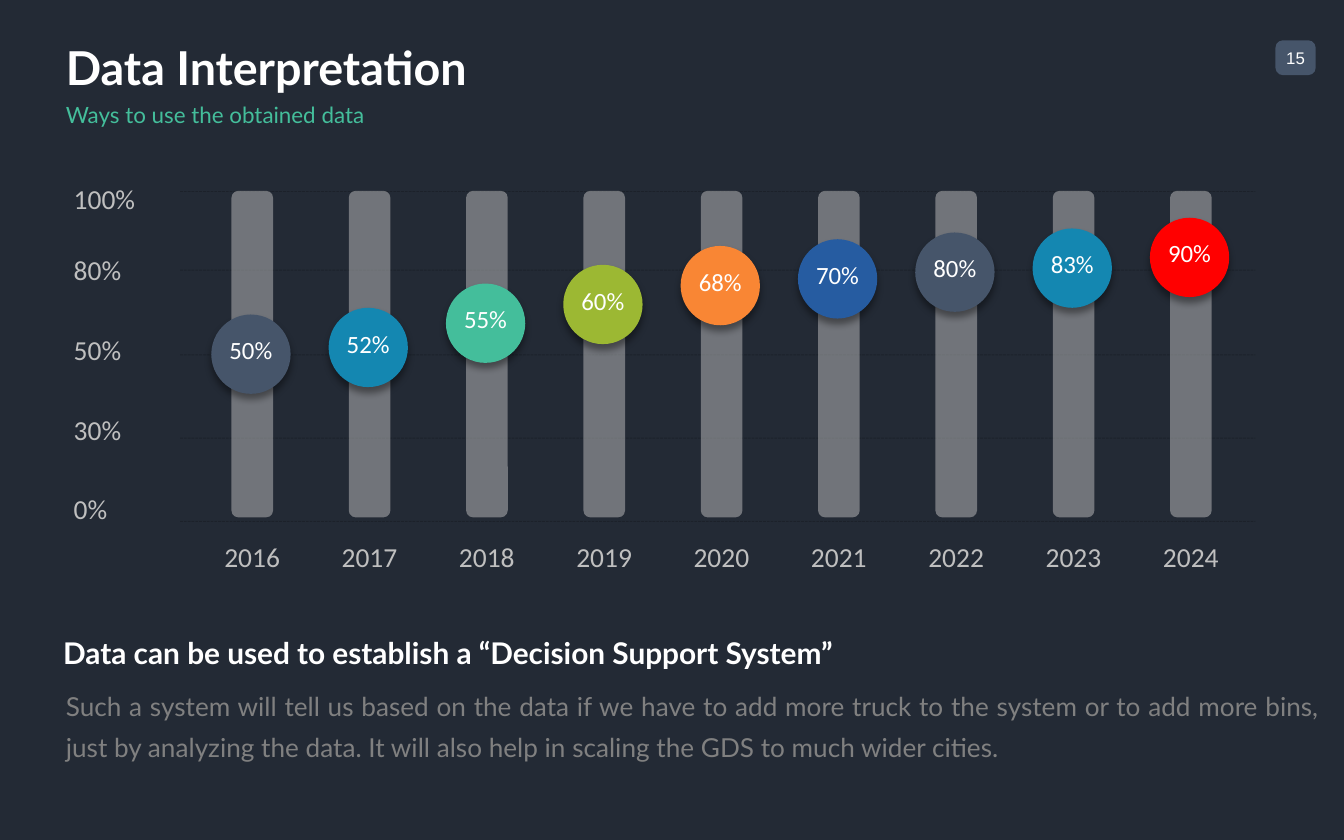
"""Build the data interpretation slide: yearly shares as badges on upright tracks."""
import pptx
import pptx.util
import pptx.dml.color
import pptx.enum.dml
import pptx.enum.shapes
import pptx.enum.text
import pptx.oxml
import pptx.oxml.ns

TITLE = "Data Interpretation"
SUB = "Ways to use the obtained data"
HEAD = "Data can be used to establish a “Decision Support System”"
BODY = (
    "Such a system will tell us based on the data if we have to add more truck "
    "to the system or to add more bins, just by analyzing the data. It will also "
    "help in scaling the GDS to much wider cities."
)
PAGE = "15"
MARKS = [
    ("100%", 21.12, 22.8),
    ("80%", 29.6, 32.16),
    ("50%", 39.2, 42.24),
    ("30%", 48.64, 52.16),
    ("0%", 58.08, 62.08),
]
YEARS = [
    ("2016", "50%", 37.44, "slate"),
    ("2017", "52%", 36.64, "blue"),
    ("2018", "55%", 33.76, "green"),
    ("2019", "60%", 31.52, "lime"),
    ("2020", "68%", 29.28, "orange"),
    ("2021", "70%", 28.48, "navy"),
    ("2022", "80%", 27.68, "slate"),
    ("2023", "83%", 27.2, "blue"),
    ("2024", "90%", 25.92, "red"),
]
THEME = {
    "color": {
        "back": "232A35", "white": "FFFFFF", "black": "000000", "pale": "BFBFBF",
        "gray": "808080", "slate": "46556A", "blue": "1487B1", "green": "44BE9B",
        "lime": "9CB833", "orange": "F98634", "navy": "265CA1", "red": "FF0000",
    },
    "size": {"title": 25, "sub": 12, "head": 16, "body": 14, "axis": 14.7,
             "badge": 13.3, "page": 9},
    "font": {"text": "Lato", "chart": "Calibri", "page": "Arial"},
}
WIDE, HIGH = 10, 6.25
FIRST, STEP = 18.77, 8.73
TRACK = (3.1, 22.72, 38.88)
BADGE = (5.9, 9.44)
LINES = (13.4, 93.4)

Inches = pptx.util.Inches
Align = pptx.enum.text.PP_ALIGN
Anchor = pptx.enum.text.MSO_ANCHOR
Kind = pptx.enum.shapes.MSO_SHAPE
NS = pptx.oxml.ns.nsdecls("a")


def place(x, y, w, h):
    """Turn percent shares of the slide into lengths."""
    return [Inches(share * side / 100)
            for share, side in zip((x, y, w, h), (WIDE, HIGH, WIDE, HIGH))]


def tint(name):
    """Return a theme colour."""
    return pptx.dml.color.RGBColor.from_string(THEME["color"][name])


def fade(fill, share):
    """Give a solid fill element an alpha in percent."""
    fill[0].append(pptx.oxml.parse_xml(f'<a:alpha {NS} val="{share * 1000}"/>'))


def write(shape, text, size, font, color, bold=False, align=Align.LEFT,
          anchor=Anchor.TOP, inset=(0.1, 0.05), wrap=True, gap=None):
    """Put one run of text in a shape."""
    frame = shape.text_frame
    frame.word_wrap = wrap
    frame.vertical_anchor = anchor
    frame.margin_left = frame.margin_right = Inches(inset[0])
    frame.margin_top = frame.margin_bottom = Inches(inset[1])
    para = frame.paragraphs[0]
    para.alignment = align
    para.line_spacing = gap
    run = para.add_run()
    run.text = text
    run.font.size = pptx.util.Pt(THEME["size"][size])
    run.font.name = THEME["font"][font]
    run.font.color.rgb = tint(color)
    run.font.bold = bold


def label(slide, area, *args, **style):
    """Add a text box."""
    write(slide.shapes.add_textbox(*place(*area)), *args, **style)


def block(slide, area, color, curve):
    """Add a rounded block without outline or shadow."""
    shape = slide.shapes.add_shape(Kind.ROUNDED_RECTANGLE, *place(*area))
    shape.adjustments[0] = curve
    shape.shadow.inherit = False
    shape.fill.solid()
    shape.fill.fore_color.rgb = tint(color)
    shape.line.fill.background()
    return shape


def shade(shape):
    """Drop a soft shadow below a shape."""
    cast = pptx.oxml.parse_xml(
        f'<a:outerShdw {NS} blurRad="50800" dist="38100" dir="5400000" '
        f'algn="t" rotWithShape="0"><a:srgbClr val="{THEME["color"]["black"]}">'
        '<a:alpha val="40000"/></a:srgbClr></a:outerShdw>')
    shape._element.spPr.find(pptx.oxml.ns.qn("a:effectLst")).append(cast)


def rule(slide, top):
    """Add one dashed grid line."""
    x, y, end, _ = place(LINES[0], top, LINES[1], 0)
    line = slide.shapes.add_connector(
        pptx.enum.shapes.MSO_CONNECTOR.STRAIGHT, x, y, end, y)
    line.line.width = pptx.util.Pt(0.5)
    line.line.color.rgb = tint("black")
    line.line.dash_style = pptx.enum.dml.MSO_LINE.SQUARE_DOT
    props = line._element.spPr
    fade(props.find(".//" + pptx.oxml.ns.qn("a:solidFill")), 20)
    props.append(pptx.oxml.parse_xml(f"<a:effectLst {NS}/>"))


def chart(slide):
    """Draw grid, axis labels, tracks and badges."""
    for mark, top, level in MARKS:
        rule(slide, level)
        label(slide, (4.5, top, 7.6, 5.44), mark, "axis", "chart", "pale", gap=0.95)
    wide, top, high = TRACK
    for col, (year, share, rise, color) in enumerate(YEARS):
        mid = FIRST + col * STEP
        label(slide, (mid - 3, 63.84, 6, 4.8), year, "axis", "chart", "pale",
              align=Align.CENTER, inset=(0, 0.05), gap=0.95)
        track = block(slide, (mid - wide / 2, top, wide, high), "pale", 0.167)
        fade(track._element.spPr.find(pptx.oxml.ns.qn("a:solidFill")), 50)
        badge = block(slide, (mid - 0.1 - BADGE[0] / 2, rise, *BADGE), color, 0.5)
        shade(badge)
        write(badge, share, "badge", "chart", "white", align=Align.CENTER,
              anchor=Anchor.BOTTOM, inset=(0.1, 0.13), wrap=False)


def main():
    """Build and save the slide."""
    deck = pptx.Presentation()
    deck.slide_width, deck.slide_height = Inches(WIDE), Inches(HIGH)
    slide = deck.slides.add_slide(deck.slide_layouts[6])
    slide.background.fill.solid()
    slide.background.fill.fore_color.rgb = tint("back")
    write(block(slide, (94.9, 4.8, 3, 4.16), "slate", 0.217), PAGE, "page", "page",
          "white", align=Align.CENTER, anchor=Anchor.MIDDLE, inset=(0, 0), wrap=False)
    line = {"anchor": Anchor.MIDDLE, "inset": (0, 0.04)}
    label(slide, (4.9, 4.8, 90, 6.24), TITLE, "title", "text", "white", True, **line)
    label(slide, (4.9, 12, 90, 3.36), SUB, "sub", "text", "green", **line)
    chart(slide)
    label(slide, (4.7, 74.56, 90.2, 6.24), HEAD, "head", "text", "white", True, **line)
    label(slide, (4.9, 81.12, 93.3, 15.84), BODY, "body", "text", "gray",
          align=Align.JUSTIFY, inset=(0, 0), gap=1.3)
    deck.save("out.pptx")


if __name__ == "__main__":
    main()
